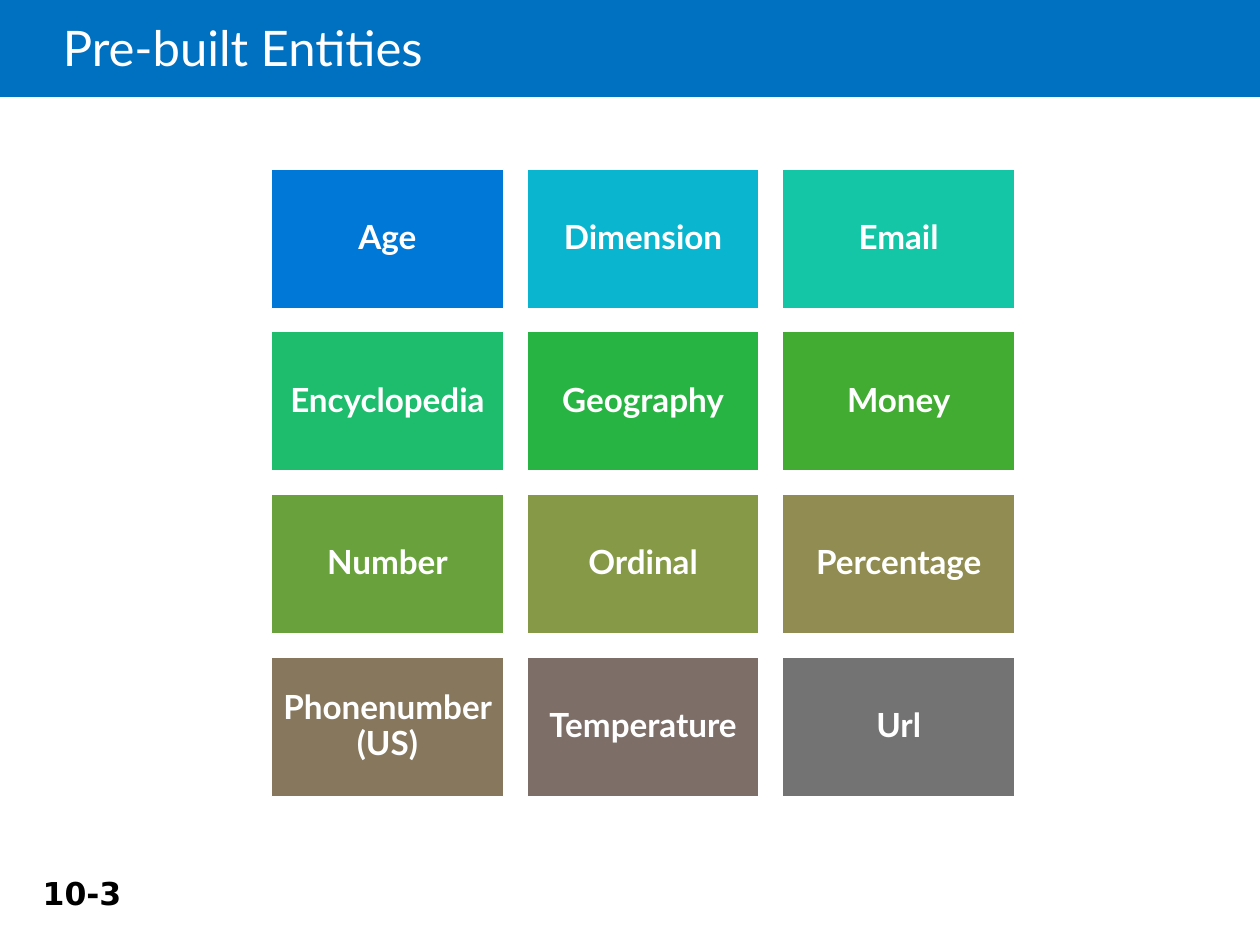
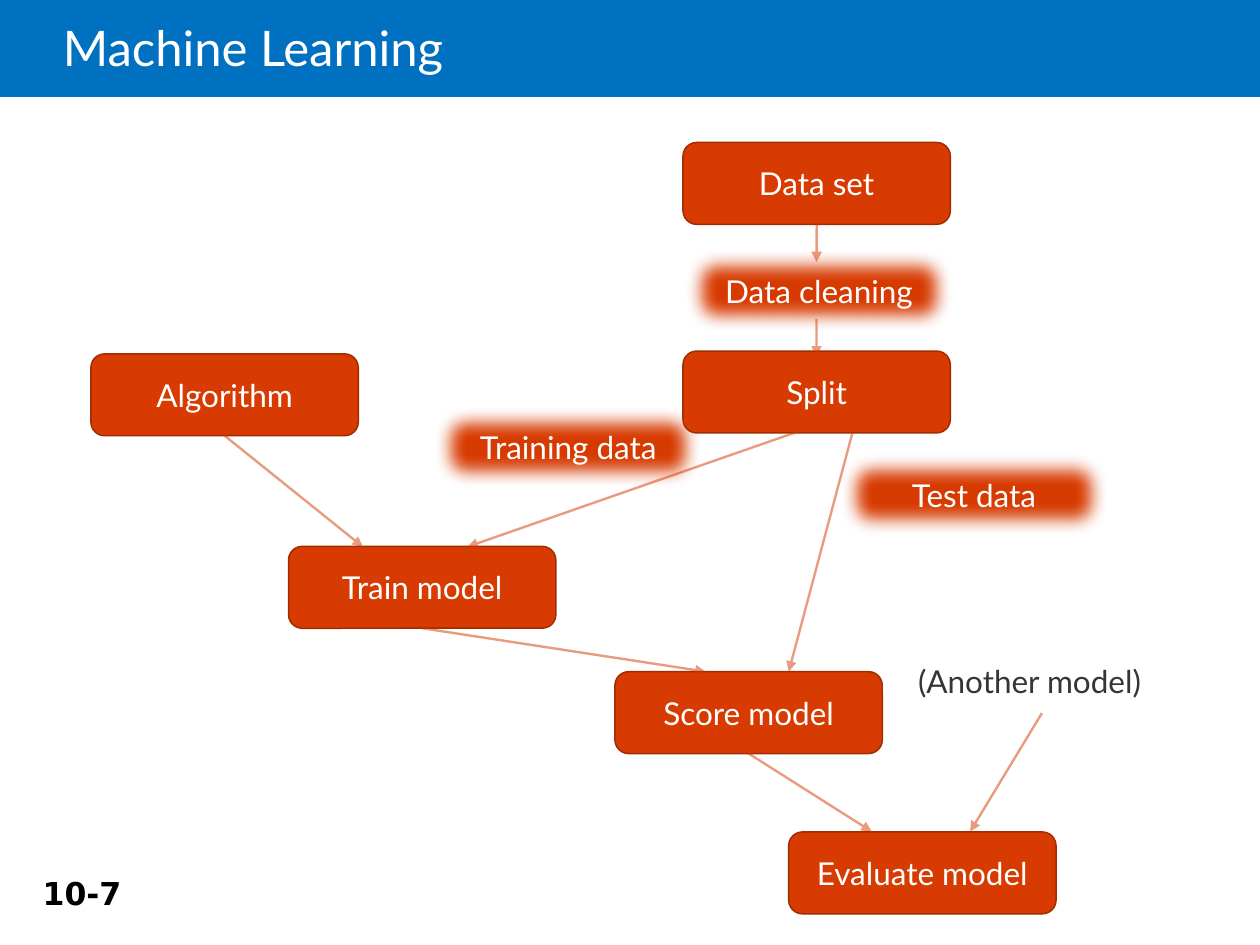
from pptx import Presentation
from pptx.dml.color import RGBColor
from pptx.enum.shapes import MSO_CONNECTOR, MSO_SHAPE
from pptx.enum.text import MSO_ANCHOR, PP_ALIGN
from pptx.oxml.ns import qn
from pptx.util import Pt
from lxml.etree import SubElement

# Content
ENTITIES = [
    ("Age", "0078D7"), ("Dimension", "0AB5CF"), ("Email", "14C6A5"),
    ("Encyclopedia", "1EBD6E"), ("Geography", "28B443"), ("Money", "41AB32"),
    ("Number", "69A23D"), ("Ordinal", "859947"), ("Percentage", "908C52"),
    ("Phonenumber (US)", "86775D"), ("Temperature", "7D6E68"), ("Url", "737373"),
]
# Steps of the process: text, left, top, soft edge
STEPS = [
    ("Data set", 390.3, 81.4, False),
    ("Training data", 248.4, 232.2, True),
    ("Test data", 480.2, 259.2, True),
    ("Algorithm", 52, 202.2, False),
    ("Train model", 164.9, 312.2, False),
    ("Score model", 351.4, 383.8, False),
    ("Evaluate model", 450.7, 475.4, False),
    ("Data cleaning", 391.7, 142.6, True),
    ("Split", 390.3, 200.6, False),
]
# Arrows: start (a step's bottom centre, or a point), end point
ARROWS = [
    ("Algorithm", (207.4, 312.5)),
    ((457.2, 246.2), (267.1, 312.5)),
    ((487.4, 246.2), (450.7, 383.8)),
    ("Score model", (498.2, 475.2)),
    ("Train model", (403.2, 383.8)),
    ((595.4, 407.5), (554.4, 475.2)),
    ("Data set", (466.6, 149.8)),
    ((466.6, 182.2), (466.6, 203.8)),
]

# Shared style
BODY_FONT, NUMBER_FONT = "Lato", "DejaVu Sans"
WHITE, BLACK, DARK = "FFFFFF", "000000", "353535"
BAND, BOX, BOX_LINE, ARROW = "0070C0", "D83B01", "A02C01", "D43900"
STEP_W, STEP_H = 152.8, 46.8


def rgb(value):
    return RGBColor.from_string(value)


def write(shape, text, size, color, font=BODY_FONT, bold=False, align=PP_ALIGN.LEFT,
          anchor=MSO_ANCHOR.TOP, spacing=1.0, insets=(7.2, 3.6, 7.2, 3.6)):
    tf = shape.text_frame
    tf.word_wrap = True
    tf.vertical_anchor = anchor
    tf.margin_left, tf.margin_top, tf.margin_right, tf.margin_bottom = map(Pt, insets)
    p = tf.paragraphs[0]
    p.text = text
    p.alignment = align
    p.line_spacing = spacing
    p.font.name, p.font.size, p.font.bold = font, Pt(size), bold
    p.font.color.rgb = rgb(color)


def add_box(s, kind, left, top, width, height, fill, line=None):
    sp = s.shapes.add_shape(kind, Pt(left), Pt(top), Pt(width), Pt(height))
    sp.shadow.inherit = False
    sp.fill.solid()
    sp.fill.fore_color.rgb = rgb(fill)
    if line:
        sp.line.color.rgb = rgb(line)
        sp.line.width = Pt(0.85)
    else:
        sp.line.fill.background()
    return sp


def add_text(s, left, top, width, height, text, size, color, **style):
    sp = s.shapes.add_textbox(Pt(left), Pt(top), Pt(width), Pt(height))
    write(sp, text, size, color, **style)


def soften(sp, radius):
    effects = sp._element.spPr.find(qn("a:effectLst"))
    SubElement(effects, qn("a:softEdge"), rad=str(Pt(radius)))


def add_arrow(s, start, end, boxes):
    origin = (0, 0) if start in boxes else start
    c = s.shapes.add_connector(MSO_CONNECTOR.STRAIGHT, *map(Pt, origin + end))
    if start in boxes:
        c.begin_connect(boxes[start], 2)
    c.line.color.rgb = rgb(ARROW)
    c.line.width = Pt(1.35)
    spPr = c._element.spPr
    ln = spPr.find(qn("a:ln"))
    SubElement(ln.find(".//" + qn("a:srgbClr")), qn("a:alpha"), val="50000")
    SubElement(ln, qn("a:tailEnd"), type="triangle")
    SubElement(spPr, qn("a:effectLst"))


def add_slide(prs, title, number):
    s = prs.slides.add_slide(prs.slide_layouts[6])
    add_box(s, MSO_SHAPE.RECTANGLE, 0, 0, 720, 55.4, BAND)
    add_text(s, 36, 0, 612, 58.3, title, 28, WHITE, anchor=MSO_ANCHOR.MIDDLE,
             spacing=0.85, insets=(0, 3.6, 7.2, 3.6))
    add_text(s, 17.3, 496.1, 75.6, 28.8, number, 18, BLACK, font=NUMBER_FONT, bold=True)
    return s


def build_entities(prs):
    s = add_slide(prs, "Pre-built Entities", "10-3")
    left, top, width, columns = 155, 96.5, 132.8, 3
    height, gap = 0.6 * width, 0.1 * width
    for i, (name, color) in enumerate(ENTITIES):
        row, col = divmod(i, columns)
        sp = add_box(s, MSO_SHAPE.RECTANGLE, left + col * (width + gap),
                     top + row * (height + gap), width, height, color, WHITE)
        write(sp, name, 19, WHITE, bold=True, align=PP_ALIGN.CENTER,
              anchor=MSO_ANCHOR.MIDDLE, spacing=0.9, insets=(5.7,) * 4)


def build_process(prs):
    s = add_slide(prs, "Machine Learning", "10-7")
    boxes = {}
    for text, left, top, soft in STEPS:
        sp = add_box(s, MSO_SHAPE.ROUNDED_RECTANGLE, left, top, STEP_W, STEP_H, BOX, BOX_LINE)
        write(sp, text, 18, WHITE, align=PP_ALIGN.CENTER, anchor=MSO_ANCHOR.MIDDLE)
        if soft:
            soften(sp, 10)
        boxes[text] = sp
    for start, end in ARROWS:
        add_arrow(s, start, end, boxes)
    add_text(s, 517.5, 374.6, 164.9, 28.1, "(Another model)", 18, DARK)


def main():
    prs = Presentation()
    prs.slide_width, prs.slide_height = Pt(720), Pt(540)
    build_entities(prs)
    build_process(prs)
    prs.save("out.pptx")


if __name__ == "__main__":
    main()
